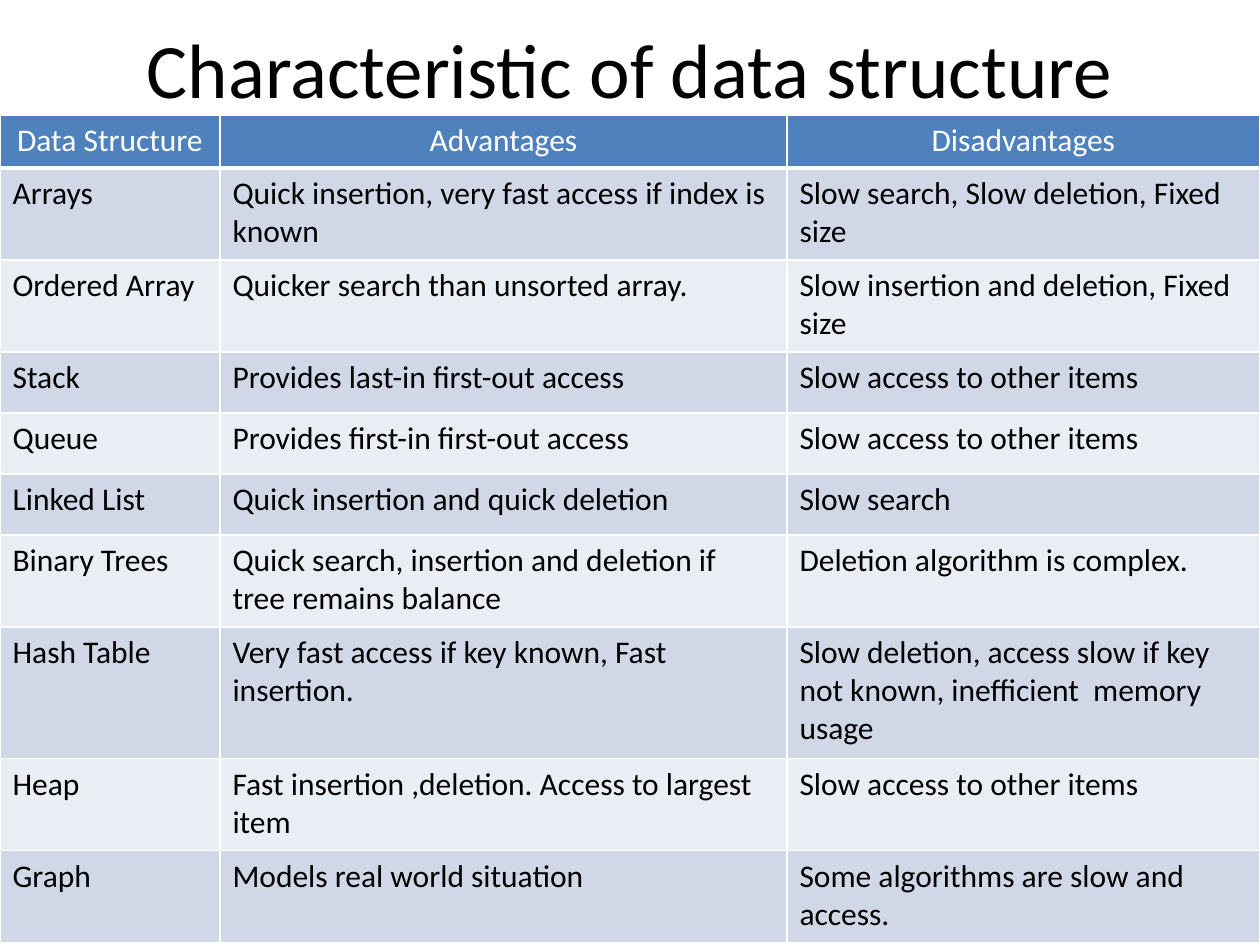
from lxml import etree
from pptx import Presentation
from pptx.dml.color import RGBColor
from pptx.enum.text import MSO_ANCHOR, PP_ALIGN
from pptx.oxml.ns import qn
from pptx.util import Emu, Pt

CENTER, LEFT = PP_ALIGN.CENTER, PP_ALIGN.LEFT
MIDDLE = MSO_ANCHOR.MIDDLE
PIXEL = 914400 // 126

# Content
TITLE = "Characteristic of data structure"
ROWS = [
    ("Data Structure", "Advantages", "Disadvantages"),
    ("Arrays", "Quick insertion, very fast access if index is known",
     "Slow search, Slow deletion, Fixed size"),
    ("Ordered Array", "Quicker search than unsorted array.",
     "Slow insertion and deletion, Fixed size"),
    ("Stack", "Provides last-in first-out access", "Slow access to other items"),
    ("Queue", "Provides first-in first-out access", "Slow access to other items"),
    ("Linked List", "Quick insertion and quick deletion", "Slow search"),
    ("Binary Trees", "Quick search, insertion and deletion if tree remains balance",
     "Deletion algorithm is complex."),
    ("Hash Table", "Very fast access if key known, Fast insertion.",
     "Slow deletion, access slow if key not known, inefficient  memory usage"),
    ("Heap", "Fast insertion ,deletion. Access to largest item",
     "Slow access to other items"),
    ("Graph", "Models real world situation", "Some algorithms are slow and access."),
]

# Layout and formats
SLIDE_SIZE = (1260, 945)
TITLE_BOX = (63, 0, 1134, 136)
TABLE_TOP = 115
COLUMN_WIDTHS = (220, 567, 473)
HEADER_HEIGHT = 53
LINE_HEIGHTS = {1: 61, 2: 92, 3: 132}
ROW_LINES = (2, 2, 1, 1, 1, 2, 3, 2, 2)
HEADER_FILL = "4F81BD"
BAND_FILLS = ("D0D8E8", "E9EDF4")
BLACK, WHITE = "000000", "FFFFFF"
TITLE_FONT = {"name": "Calibri", "size": Pt(44), "bold": False}
CELL_FONT = {"name": "Calibri", "size": Pt(18), "bold": False}


def px(length):
    return Emu(length * PIXEL)


def color(value):
    return RGBColor.from_string(value)


def write(frame, text, font, ink, align):
    para = frame.paragraphs[0]
    para.alignment = align
    span = para.add_run()
    span.text = text
    for name, value in font.items():
        setattr(span.font, name, value)
    span.font.color.rgb = color(ink)


def add_borders(cell, bottom):
    properties = cell._tc.get_or_add_tcPr()
    widths = {"a:lnL": 1, "a:lnR": 1, "a:lnT": 1, "a:lnB": bottom}
    for position, (tag, width) in enumerate(widths.items()):
        line = etree.Element(qn(tag), w=str(Pt(width)))
        fill = etree.SubElement(line, qn("a:solidFill"))
        etree.SubElement(fill, qn("a:srgbClr"), val=WHITE)
        properties.insert(position, line)


deck = Presentation()
deck.slide_width, deck.slide_height = map(px, SLIDE_SIZE)
page = deck.slides.add_slide(deck.slide_layouts[6])

# Title
box = page.shapes.add_textbox(*map(px, TITLE_BOX))
box.text_frame.word_wrap = True
box.text_frame.vertical_anchor = MIDDLE
write(box.text_frame, TITLE, TITLE_FONT, BLACK, CENTER)

# Table grid
heights = [HEADER_HEIGHT] + [LINE_HEIGHTS[count] for count in ROW_LINES]
table = page.shapes.add_table(
    len(ROWS), len(COLUMN_WIDTHS), 0, px(TABLE_TOP),
    px(sum(COLUMN_WIDTHS)), px(sum(heights))).table
for column, width in zip(table.columns, COLUMN_WIDTHS):
    column.width = px(width)

# Table cells
for index, (row, texts, height) in enumerate(zip(table.rows, ROWS, heights)):
    row.height = px(height)
    header = index == 0
    for cell, text in zip(row.cells, texts):
        write(cell.text_frame, text, CELL_FONT,
              WHITE if header else BLACK, CENTER if header else LEFT)
        cell.fill.solid()
        cell.fill.fore_color.rgb = color(
            HEADER_FILL if header else BAND_FILLS[(index - 1) % 2])
        add_borders(cell, bottom=3 if header else 1)

deck.save("out.pptx")
